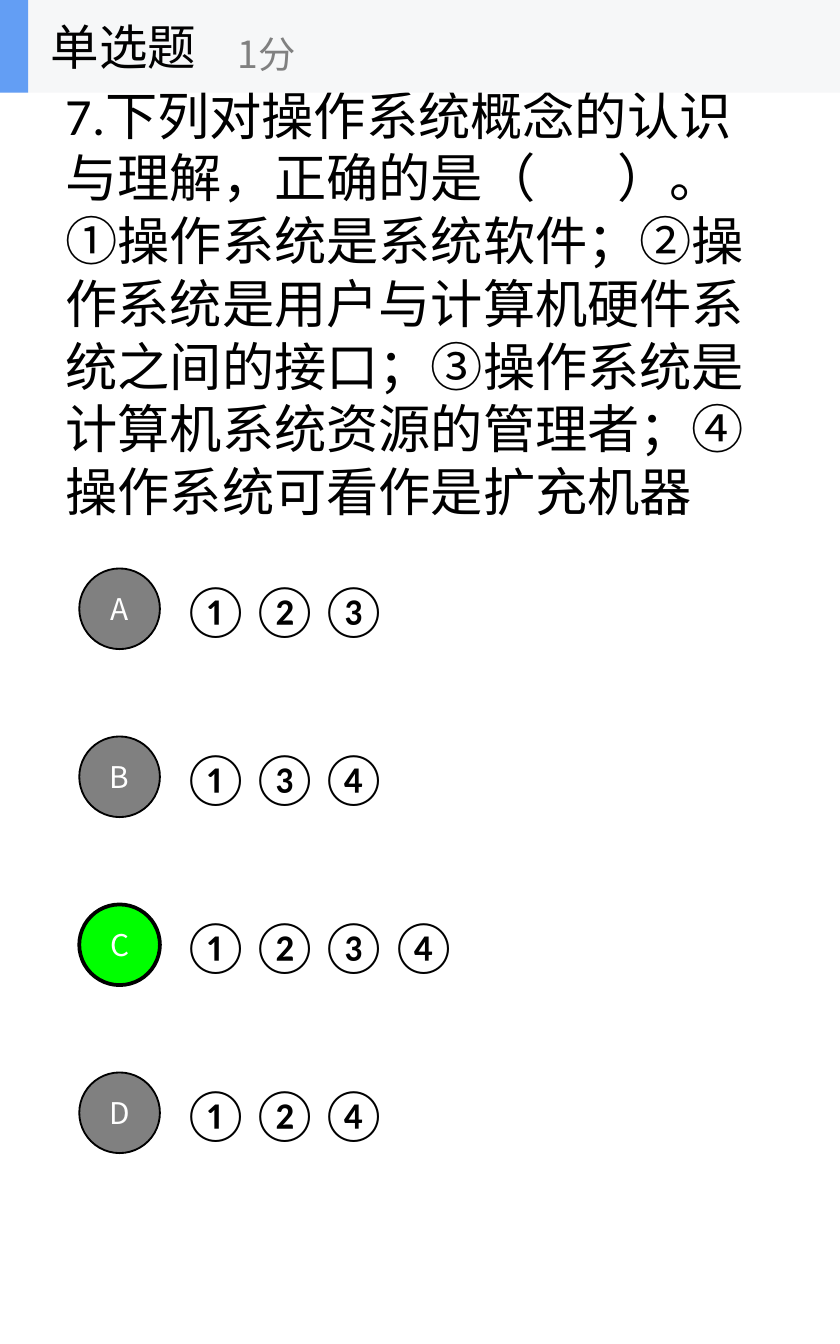
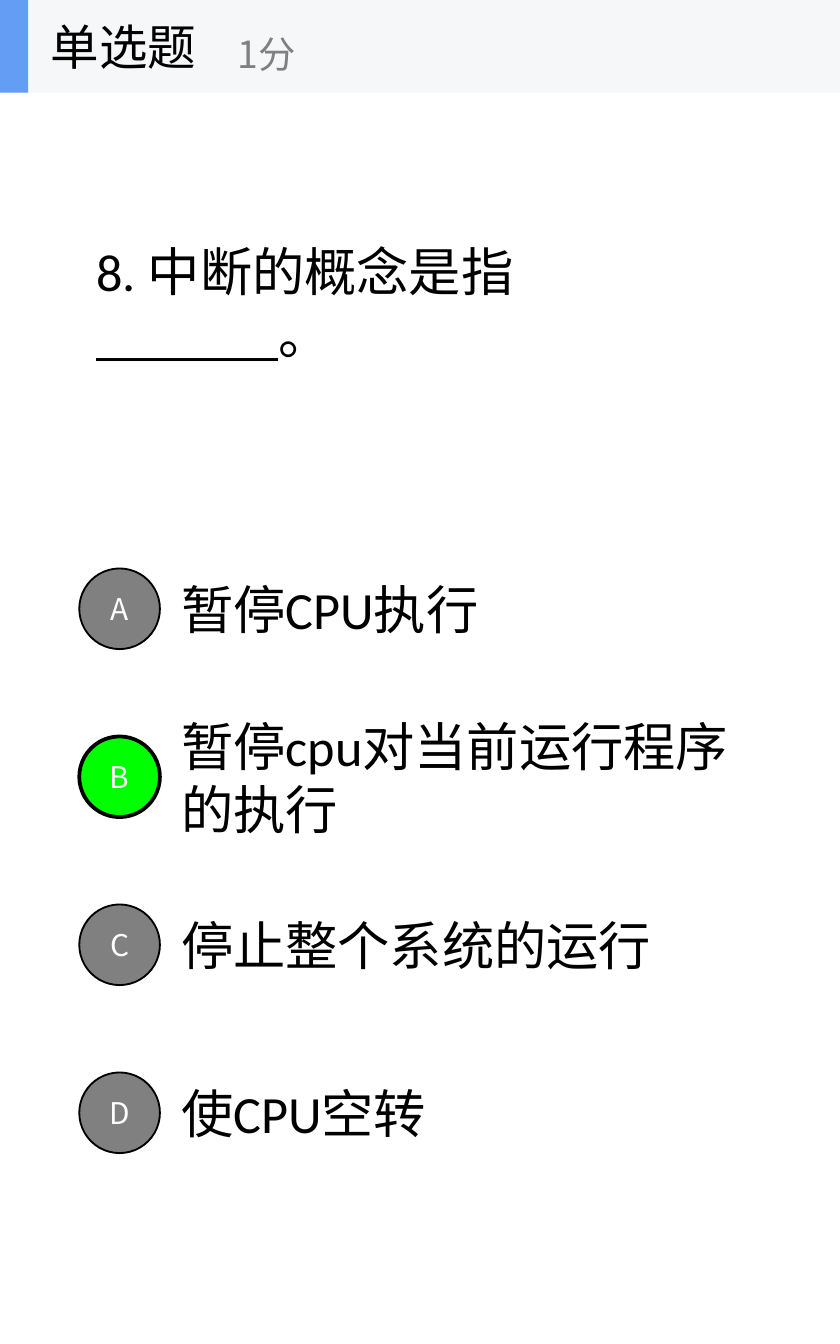
from pptx import Presentation
from pptx.dml.color import RGBColor
from pptx.enum import shapes, text
from pptx.oxml import ns
from pptx.util import Inches, Pt
from lxml import etree

BLACK = RGBColor(0x00, 0x00, 0x00)
WHITE = RGBColor(0xFF, 0xFF, 0xFF)
GRAY = RGBColor(0x80, 0x80, 0x80)
GREEN = RGBColor(0x00, 0xFF, 0x00)
BLUE = RGBColor(0x63, 0x9E, 0xF4)
BAND = RGBColor(0xF6, 0xF7, 0xF8)
BODY_FONT = "Calibri"
CJK_FONT = "Noto Sans CJK SC"
HEADER_H = 0.69
OPTION_TOP, OPTION_STEP, OPTION_H = 4.06, 1.25, 0.94
BADGE = 0.6

# Question lines, question box (left, width), options, correct letter
QUESTIONS = [
    ("7.下列对操作系统概念的认识与理解，正确的是（       ）。\n"
     "①操作系统是系统软件；②操作系统是用户与计算机硬件系统之间的接口；"
     "③操作系统是计算机系统资源的管理者；④操作系统可看作是扩充机器",
     0.39, 5.53, ["①②③", "①③④", "①②③④", "①②④"], "C"),
    ("8. 中断的概念是指_______。",
     0.62, 5, ["暂停CPU执行", "暂停cpu对当前运行程序的执行",
               "停止整个系统的运行", "使CPU空转"], "B"),
]


def write(sp, content, size, color, font=BODY_FONT, wrap=True, align=None):
    tf = sp.text_frame
    tf.text = content
    tf.word_wrap = wrap
    tf.vertical_anchor = text.MSO_ANCHOR.MIDDLE
    for p in tf.paragraphs:
        p.alignment = align
        for r in p.runs:
            r.font.size = Pt(size)
            r.font.name = font
            r.font.color.rgb = color
            ea = etree.SubElement(r.font._element, ns.qn("a:ea"))
            ea.set("typeface", CJK_FONT)


def add_filled(parent, kind, left, top, width, height, fill):
    sp = parent.shapes.add_shape(kind, Inches(left), Inches(top),
                                 Inches(width), Inches(height))
    sp.shadow.inherit = False
    sp.fill.solid()
    sp.fill.fore_color.rgb = fill
    sp.line.fill.background()
    return sp


prs = Presentation()
prs.slide_width = Inches(6.25)
prs.slide_height = Inches(10)

for question, left, width, options, answer in QUESTIONS:
    s = prs.slides.add_slide(prs.slide_layouts[6])

    # Question
    sp = s.shapes.add_textbox(Inches(left), Inches(HEADER_H), Inches(width), Inches(3.12))
    write(sp, question, 28, BLACK)

    # Options with their letter badges
    for i, (letter, option) in enumerate(zip("ABCD", options)):
        top = OPTION_TOP + i * OPTION_STEP
        sp = s.shapes.add_textbox(Inches(1.25), Inches(top), Inches(4.38), Inches(OPTION_H))
        write(sp, option, 28, BLACK)

        correct = letter == answer
        sp = add_filled(s, shapes.MSO_SHAPE.OVAL, 0.59, top + (OPTION_H - BADGE) / 2,
                        BADGE, BADGE, GREEN if correct else GRAY)
        sp.line.color.rgb = BLACK
        sp.line.width = Pt(2 if correct else 1)
        tf = sp.text_frame
        tf.margin_left = tf.margin_right = tf.margin_top = tf.margin_bottom = 0
        write(sp, letter, 16, WHITE, CJK_FONT, align=text.PP_ALIGN.CENTER)

    # Header band with question type and score
    header = s.shapes.add_group_shape()
    add_filled(header, shapes.MSO_SHAPE.RECTANGLE, 0, 0, 6.25, HEADER_H, BAND)
    add_filled(header, shapes.MSO_SHAPE.RECTANGLE, 0, 0, 0.21, HEADER_H, BLUE)
    sp = header.shapes.add_textbox(Inches(0.28), 0, Inches(2.08), Inches(HEADER_H))
    write(sp, "单选题", 26, BLACK, CJK_FONT, wrap=False)
    sp = header.shapes.add_textbox(Inches(1.67), Inches(0.12), Inches(2.5), Inches(0.56))
    write(sp, "1分", 20, GRAY, CJK_FONT, wrap=False)

prs.save("out.pptx")
